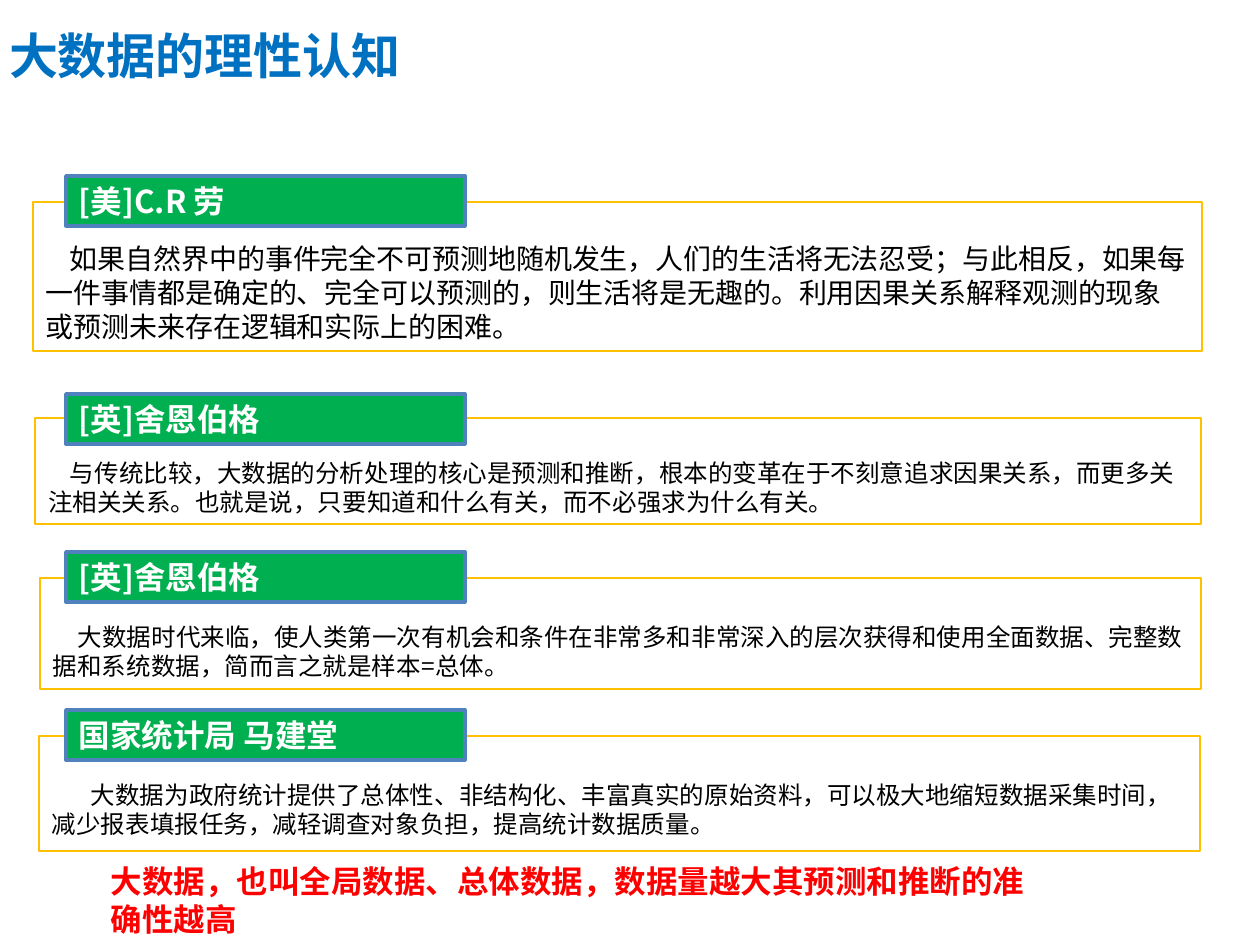
from pptx import Presentation
from pptx.dml.color import RGBColor
from pptx.enum.shapes import MSO_SHAPE
from pptx.enum.text import MSO_ANCHOR, PP_ALIGN
from pptx.util import Emu, Pt

RECTANGLE = MSO_SHAPE.RECTANGLE
TOP, MIDDLE = MSO_ANCHOR.TOP, MSO_ANCHOR.MIDDLE
LEFT = PP_ALIGN.LEFT

BLACK = RGBColor(0x00, 0x00, 0x00)
WHITE = RGBColor(0xFF, 0xFF, 0xFF)
RED = RGBColor(0xFF, 0x00, 0x00)
BLUE = RGBColor(0x00, 0x70, 0xC0)
GREEN = RGBColor(0x00, 0xB0, 0x50)
STEEL = RGBColor(0x4F, 0x81, 0xBD)
AMBER = RGBColor(0xFF, 0xC0, 0x00)

CJK_FONT = "Noto Sans CJK SC"
LABEL_LEFT, LABEL_WIDTH, LABEL_HEIGHT = 66, 399, 50
INSET_X, INSET_Y = 13, 6

# (speaker, label top, quote box, inset top, first-line indent, size, quote)
QUOTES = [
    ("[美]C.R 劳", 176, (33, 202, 1169, 149), 40, 24, 16,
     "如果自然界中的事件完全不可预测地随机发生，人们的生活将无法忍受；与此相反，"
     "如果每一件事情都是确定的、完全可以预测的，则生活将是无趣的。"
     "利用因果关系解释观测的现象或预测未来存在逻辑和实际上的困难。"),
    ("[英]舍恩伯格", 394, (35, 418, 1166, 106), 40, 22, 14,
     "与传统比较，大数据的分析处理的核心是预测和推断，根本的变革在于不刻意追求因果关系，"
     "而更多关注相关关系。也就是说，只要知道和什么有关，而不必强求为什么有关。"),
    ("[英]舍恩伯格", 552, (40, 578, 1161, 111), 44, 25, 14,
     "大数据时代来临，使人类第一次有机会和条件在非常多和非常深入的层次获得和使用"
     "全面数据、完整数据和系统数据，简而言之就是样本=总体。"),
    ("国家统计局 马建堂", 710, (39, 736, 1161, 115), 44, 39, 14,
     "大数据为政府统计提供了总体性、非结构化、丰富真实的原始资料，可以极大地缩短数据采集时间，"
     "减少报表填报任务，减轻调查对象负担，提高统计数据质量。"),
]


def px(length):
    """Turn pixels, 126 to the inch, into EMU."""
    return Emu(round(length * 914400 / 126))


def write(holder, wording, size, color, bold=False, font=CJK_FONT,
          inset=(INSET_X, INSET_Y), anchor=TOP, indent=0):
    """Put one left-aligned paragraph into a shape or text box."""
    frame = holder.text_frame
    frame.word_wrap = True
    frame.vertical_anchor = anchor
    frame.margin_left, frame.margin_top = map(px, inset)
    frame.margin_right, frame.margin_bottom = px(INSET_X), 0
    paragraph = frame.paragraphs[0]
    paragraph.text = wording
    paragraph.alignment = LEFT
    if indent:
        paragraph._p.get_or_add_pPr().set("indent", str(px(indent)))
    paragraph.font.name = font
    paragraph.font.size = Pt(size)
    paragraph.font.bold = bold
    paragraph.font.color.rgb = color


def add_box(slide, bounds, line_color, line_width, fill=None):
    """Add an outlined rectangle, filled or empty."""
    box = slide.shapes.add_shape(RECTANGLE, *map(px, bounds))
    box.shadow.inherit = False
    if fill is None:
        box.fill.background()
    else:
        box.fill.solid()
        box.fill.fore_color.rgb = fill
    box.line.color.rgb = line_color
    box.line.width = Pt(line_width)
    return box


def add_quote(slide, speaker, label_top, bounds, inset_top, indent, size, quote):
    """Add a framed quote with the speaker's label on its top edge."""
    frame = add_box(slide, bounds, AMBER, 0.75)
    write(frame, quote, size, BLACK, inset=(INSET_X, inset_top), indent=indent)
    label_bounds = (LABEL_LEFT, label_top, LABEL_WIDTH, LABEL_HEIGHT)
    label = add_box(slide, label_bounds, STEEL, 2, GREEN)
    write(label, speaker, 18, WHITE, bold=True, inset=(INSET_X, 0), anchor=MIDDLE)


def add_text(slide, bounds, wording, size, color, **style):
    """Add a bold text box."""
    box = slide.shapes.add_textbox(*map(px, bounds))
    write(box, wording, size, color, bold=True, **style)


def main():
    """Build the slide and save it."""
    deck = Presentation()
    deck.slide_width, deck.slide_height = px(1260), px(945)
    slide = deck.slides.add_slide(deck.slide_layouts[6])
    add_text(slide, (-3, 26, 689, 78), "大数据的理性认知", 28, BLUE, inset=(12, 0))
    for quote in QUOTES:
        add_quote(slide, *quote)
    add_text(slide, (98, 856, 955, 89),
             "大数据，也叫全局数据、总体数据，数据量越大其预测和推断的准确性越高",
             18, RED, font="Arial")
    deck.save("out.pptx")


if __name__ == "__main__":
    main()
